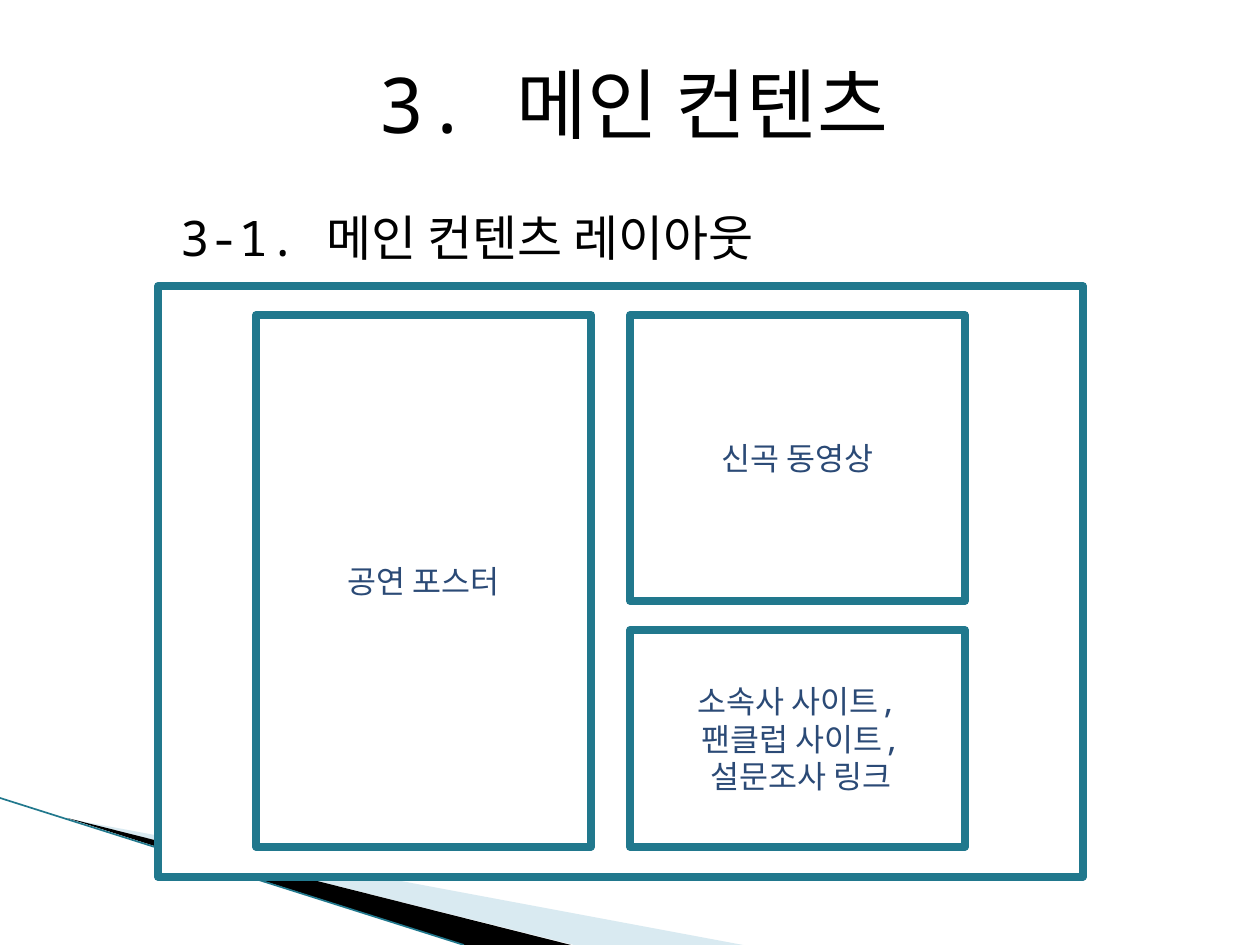
from lxml import etree
from pptx import Presentation
from pptx.dml.color import RGBColor
from pptx.enum.shapes import MSO_CONNECTOR, MSO_SHAPE
from pptx.enum.text import MSO_ANCHOR, PP_ALIGN
from pptx.oxml.ns import qn
from pptx.util import Pt

RECTANGLE = MSO_SHAPE.RECTANGLE
STRAIGHT = MSO_CONNECTOR.STRAIGHT
MIDDLE = MSO_ANCHOR.MIDDLE
CENTER = PP_ALIGN.CENTER

SCALE = 914400 / 126
SLIDE_WIDTH, SLIDE_HEIGHT = 1260, 945
FONT = "Noto Sans Mono"
BLACK = RGBColor(0x00, 0x00, 0x00)
WHITE = RGBColor(0xFF, 0xFF, 0xFF)
TEAL = RGBColor(0x21, 0x78, 0x8D)
NAVY = RGBColor(0x2B, 0x4A, 0x76)
PALE_BLUE = RGBColor(0xA0, 0xCB, 0xDC)

HEADINGS = [
    ("3. 메인 컨텐츠", 44, (98, 49, 1071, 108)),
    ("3-1. 메인 컨텐츠 레이아웃", 28, (147, 197, 640, 79)),
]
FRAME = (158, 286, 925, 591)
LEFT_COLUMN, RIGHT_COLUMN = 256, 630
COLUMN_WIDTH = 335
TOP, BOTTOM = 315, 847
VIDEO_HEIGHT = 286
LINKS_TOP = 630
PANELS = [
    (FRAME, []),
    ((LEFT_COLUMN, TOP, COLUMN_WIDTH, BOTTOM - TOP), ["공연 포스터"]),
    ((RIGHT_COLUMN, TOP, COLUMN_WIDTH, VIDEO_HEIGHT), ["신곡 동영상"]),
    ((RIGHT_COLUMN, LINKS_TOP, COLUMN_WIDTH, BOTTOM - LINKS_TOP),
     ["소속사 사이트,", " 팬클럽 사이트,", " 설문조사 링크"]),
]
WEDGES = [
    ([(69, 819), (743, 945), (574, 945)], PALE_BLUE, 40),
    ([(67, 818), (571, 945), (464, 945)], BLACK, 100),
]
EDGE = (0, 798, 464, 945)


def emu(lengths):
    return [round(length * SCALE) for length in lengths]


def write(shape, lines, size, color):
    frame = shape.text_frame
    frame.word_wrap = True
    frame.vertical_anchor = MIDDLE
    for index, line in enumerate(lines):
        para = frame.add_paragraph() if index else frame.paragraphs[0]
        para.alignment = CENTER
        span = para.add_run()
        span.text = line
        span.font.name = FONT
        span.font.size = Pt(size)
        span.font.color.rgb = color


def add_wedge(page, points, color, opacity):
    builder = page.shapes.build_freeform(*points[0], scale=SCALE)
    builder.add_line_segments(points[1:], close=True)
    wedge = builder.convert_to_shape()
    wedge.shadow.inherit = False
    wedge.line.fill.background()
    wedge.fill.solid()
    wedge.fill.fore_color.rgb = color
    if opacity < 100:
        tint = wedge.fill._xPr.find(".//" + qn("a:srgbClr"))
        etree.SubElement(tint, qn("a:alpha"), val=str(opacity * 1000))


def add_edge(page):
    edge = page.shapes.add_connector(STRAIGHT, *emu(EDGE))
    edge.line.color.rgb = TEAL
    edge.line.width = Pt(0.95)
    etree.SubElement(edge._element.spPr, qn("a:effectLst"))


def add_panel(page, place, lines):
    panel = page.shapes.add_shape(RECTANGLE, *emu(place))
    panel.shadow.inherit = False
    panel.fill.solid()
    panel.fill.fore_color.rgb = WHITE
    panel.line.color.rgb = TEAL
    panel.line.width = Pt(4.33)
    write(panel, lines, 18, NAVY)


def main():
    deck = Presentation()
    deck.slide_width, deck.slide_height = emu((SLIDE_WIDTH, SLIDE_HEIGHT))
    page = deck.slides.add_slide(deck.slide_layouts[6])
    for points, color, opacity in WEDGES:
        add_wedge(page, points, color, opacity)
    add_edge(page)
    for place, lines in PANELS:
        add_panel(page, place, lines)
    for heading, size, place in HEADINGS:
        box = page.shapes.add_textbox(*emu(place))
        write(box, [heading], size, BLACK)
    deck.save("out.pptx")


if __name__ == "__main__":
    main()
